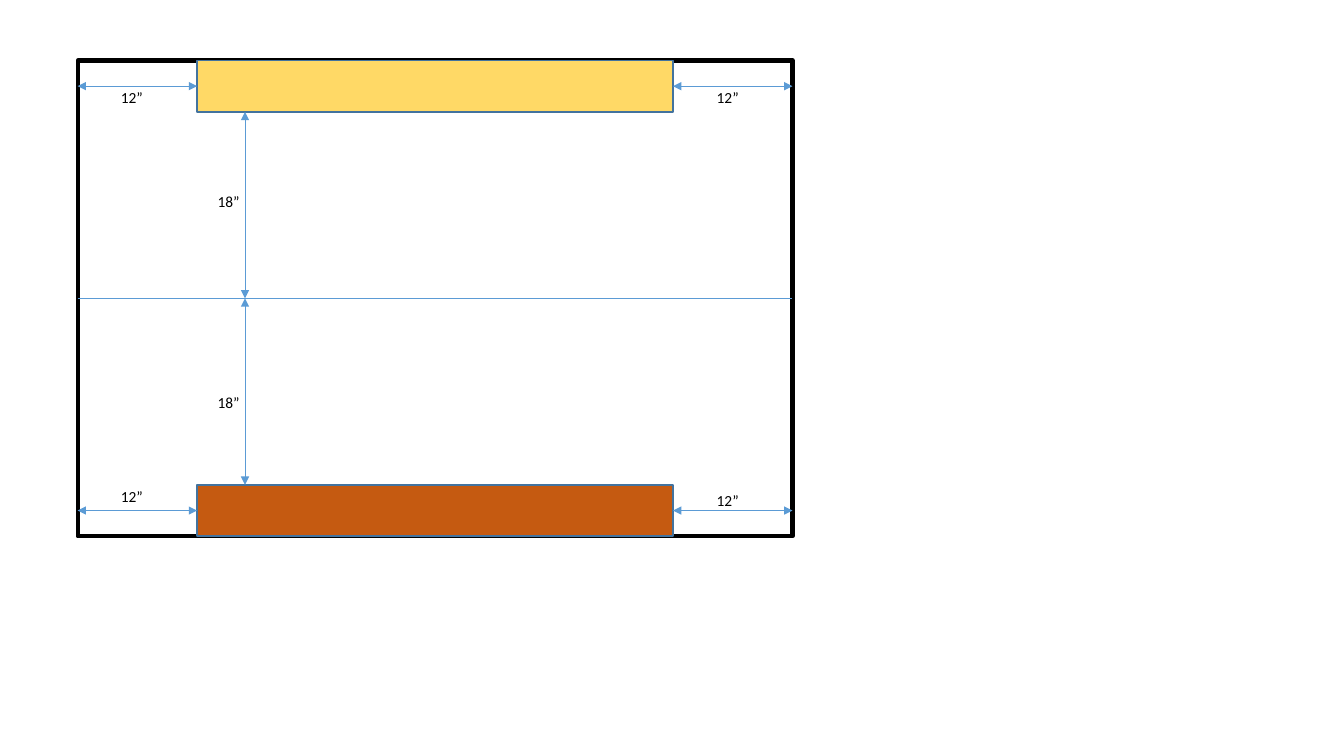
from dataclasses import dataclass

from lxml import etree
from pptx import Presentation
from pptx.dml.color import RGBColor
from pptx.enum.shapes import MSO_CONNECTOR, MSO_SHAPE
from pptx.enum.text import MSO_AUTO_SIZE
from pptx.oxml.ns import qn
from pptx.util import Inches, Pt

RECTANGLE = MSO_SHAPE.RECTANGLE
STRAIGHT = MSO_CONNECTOR.STRAIGHT
FIT_SHAPE = MSO_AUTO_SIZE.SHAPE_TO_FIT_TEXT
BLANK_LAYOUT = 6


@dataclass(frozen=True)
class Theme:
    font: str = "Calibri"
    label_size: float = 11
    ink: str = "000000"
    top_zone: str = "FFD966"
    bottom_zone: str = "C55A11"
    zone_line: str = "43739E"
    measure: str = "5B9BD5"
    table_width: float = 3
    zone_width: float = 1
    measure_width: float = 0.5


theme = Theme()

# Content: distances on the gaming table
SIDE_GAP = "12”"
CENTRE_GAP = "18”"

# Geometry in inches
LEFT, TOP, WIDTH, HEIGHT = 0.77, 0.6, 7.09, 4.72
ZONE_WIDTH, ZONE_HEIGHT = 4.72, 0.51
RIGHT, BOTTOM = LEFT + WIDTH, TOP + HEIGHT
MIDDLE = TOP + HEIGHT / 2
ZONE_LEFT = LEFT + (WIDTH - ZONE_WIDTH) / 2
ZONE_RIGHT = ZONE_LEFT + ZONE_WIDTH
ZONE_TOPS = (TOP, BOTTOM - ZONE_HEIGHT)
DEPTH_X = 2.43
LABEL_HEIGHT = 0.29

labels = [  # text, left, top, width
    (SIDE_GAP, 1.1, 0.82, 0.54),
    (SIDE_GAP, 7.01, 0.82, 0.54),
    (SIDE_GAP, 1.1, 4.78, 0.54),
    (SIDE_GAP, 7.01, 4.82, 0.54),
    (CENTRE_GAP, 2.06, 1.86, 0.47),
    (CENTRE_GAP, 2.06, 3.85, 0.47),
]


def add_box(left, top, width, height, fill, line, line_width):
    shape = slide.shapes.add_shape(
        RECTANGLE, Inches(left), Inches(top), Inches(width), Inches(height))
    shape.shadow.inherit = False
    if fill:
        shape.fill.solid()
        shape.fill.fore_color.rgb = RGBColor.from_string(fill)
    else:
        shape.fill.background()
    shape.line.color.rgb = RGBColor.from_string(line)
    shape.line.width = Pt(line_width)


def add_line(x1, y1, x2, y2, arrows=True):
    connector = slide.shapes.add_connector(
        STRAIGHT, Inches(x1), Inches(y1), Inches(x2), Inches(y2))
    connector.line.color.rgb = RGBColor.from_string(theme.measure)
    connector.line.width = Pt(theme.measure_width)
    if arrows:
        for end in ("a:headEnd", "a:tailEnd"):
            etree.SubElement(connector.line._get_or_add_ln(), qn(end), type="triangle")
    etree.SubElement(connector._element.spPr, qn("a:effectLst"))


def add_label(text, left, top, width):
    box = slide.shapes.add_textbox(
        Inches(left), Inches(top), Inches(width), Inches(LABEL_HEIGHT))
    frame = box.text_frame
    frame.word_wrap = True
    frame.auto_size = FIT_SHAPE
    paragraph = frame.paragraphs[0]
    paragraph.text = text
    paragraph.font.name = theme.font
    paragraph.font.size = Pt(theme.label_size)
    paragraph.font.color.rgb = RGBColor.from_string(theme.ink)


presentation = Presentation()
presentation.slide_width = Inches(13.33)
presentation.slide_height = Inches(7.5)
slide = presentation.slides.add_slide(presentation.slide_layouts[BLANK_LAYOUT])

# Table and deployment zones
add_box(LEFT, TOP, WIDTH, HEIGHT, None, theme.ink, theme.table_width)
for zone_top, color in zip(ZONE_TOPS, (theme.top_zone, theme.bottom_zone)):
    add_box(ZONE_LEFT, zone_top, ZONE_WIDTH, ZONE_HEIGHT,
            color, theme.zone_line, theme.zone_width)

# Side gaps beside each zone
for zone_top in ZONE_TOPS:
    y = zone_top + ZONE_HEIGHT / 2
    for inner, outer in ((ZONE_LEFT, LEFT), (RIGHT, ZONE_RIGHT)):
        add_line(inner, y, outer, y)

# Centre line and the gaps from it to the zones
add_line(LEFT, MIDDLE, RIGHT, MIDDLE, arrows=False)
add_line(DEPTH_X, TOP + ZONE_HEIGHT, DEPTH_X, MIDDLE)
add_line(DEPTH_X, MIDDLE, DEPTH_X, ZONE_TOPS[1])

# Distance labels
for label in labels:
    add_label(*label)

presentation.save("out.pptx")
